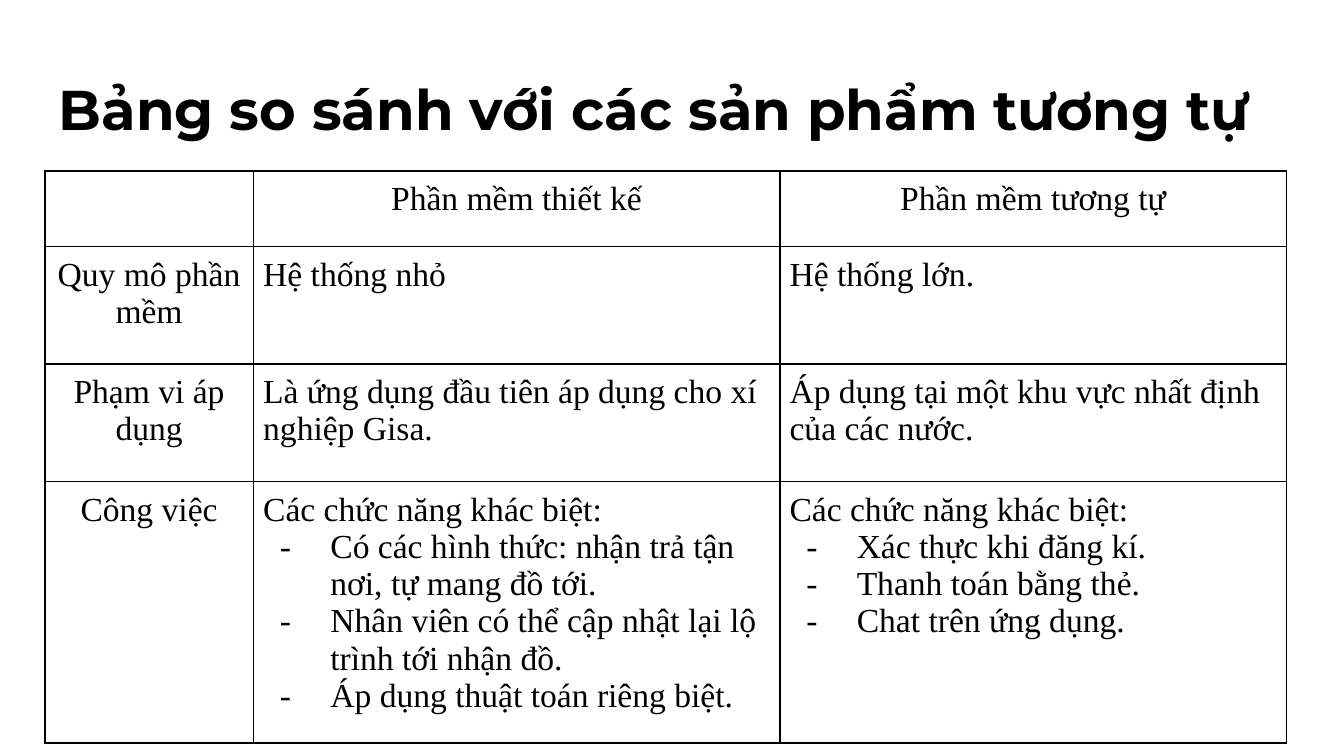
"""Builds a slide that compares the designed software with similar products."""
import pptx
import pptx.dml.color
import pptx.enum.text
import pptx.oxml
import pptx.oxml.ns
import pptx.util

PX = 9525
THEME = {
    "ink": "000000",
    "title_font": "Montserrat",
    "title_size": 30,
    "body_font": "Times New Roman",
    "body_size": 18,
    "border": 1,
}
NS = pptx.oxml.ns.nsdecls("a")
LEFT = pptx.enum.text.PP_ALIGN.LEFT
CENTER = pptx.enum.text.PP_ALIGN.CENTER
INK = f'<a:srgbClr val="{THEME["ink"]}"/>'


def write(frame, text, font=THEME["body_font"], size=THEME["body_size"], bold=False, align=LEFT):
    for index, line in enumerate(text.split("\n")):
        paragraph = frame.paragraphs[0] if index == 0 else frame.add_paragraph()
        paragraph.alignment = align
        run = paragraph.add_run()
        run.text = line.removeprefix("- ")
        run.font.name = font
        run.font.size = pptx.util.Pt(size)
        run.font.bold = bold
        run.font.color.rgb = pptx.dml.color.RGBColor.from_string(THEME["ink"])
        if line.startswith("- "):
            properties = paragraph._p.get_or_add_pPr()
            properties.set("marL", str(48 * PX))
            properties.set("indent", str(-36 * PX))
            for bullet in (
                f"<a:buClr {NS}>{INK}</a:buClr>",
                f'<a:buFont {NS} typeface="{font}"/>',
                f'<a:buChar {NS} char="-"/>',
            ):
                properties.append(pptx.oxml.parse_xml(bullet))


def outline(cell):
    for side in "LRTB":
        cell._tc.get_or_add_tcPr().append(pptx.oxml.parse_xml(
            f'<a:ln{side} {NS} w="{pptx.util.Pt(THEME["border"])}">'
            f"<a:solidFill>{INK}</a:solidFill></a:ln{side}>"
        ))


deck = pptx.Presentation()
deck.slide_width = 960 * PX
deck.slide_height = 540 * PX
slide = deck.slides.add_slide(deck.slide_layouts[6])

title = slide.shapes.add_textbox(32 * PX, 43 * PX, 895 * PX, 67 * PX).text_frame
title.word_wrap = True
title.margin_left = title.margin_right = title.margin_top = title.margin_bottom = 10 * PX
write(title, "Bảng so sánh với các sản phẩm tương tự", font=THEME["title_font"],
      size=THEME["title_size"], bold=True)

criteria = [
    ("", "Phần mềm thiết kế", "Phần mềm tương tự"),
    ("Quy mô phần mềm", "Hệ thống nhỏ", "Hệ thống lớn."),
    ("Phạm vi áp dụng", "Là ứng dụng đầu tiên áp dụng cho xí nghiệp Gisa.",
     "Áp dụng tại một khu vực nhất định của các nước."),
    ("Công việc",
     "Các chức năng khác biệt:\n"
     "- Có các hình thức: nhận trả tận nơi, tự mang đồ tới.\n"
     "- Nhân viên có thể cập nhật lại lộ trình tới nhận đồ.\n"
     "- Áp dụng thuật toán riêng biệt.",
     "Các chức năng khác biệt:\n"
     "- Xác thực khi đăng kí.\n"
     "- Thanh toán bằng thẻ.\n"
     "- Chat trên ứng dụng."),
]
widths = [149, 376, 362]
heights = [54, 84, 84, 178]

holder = slide.shapes.add_table(
    len(heights), len(widths), 32 * PX, 122 * PX, sum(widths) * PX, sum(heights) * PX
)
comparison = holder.table
comparison.first_row = comparison.horz_banding = False
for column, width in zip(comparison.columns, widths):
    column.width = width * PX
for row, height in zip(comparison.rows, heights):
    row.height = height * PX
holder.width = holder.height = 315 * PX

for r, entries in enumerate(criteria):
    for c, entry in enumerate(entries):
        cell = comparison.cell(r, c)
        outline(cell)
        cell.fill.background()
        cell.margin_left = cell.margin_right = cell.margin_top = cell.margin_bottom = 7 * PX
        if entry:
            write(cell.text_frame, entry, align=CENTER if r == 0 or c == 0 else LEFT)

deck.save("out.pptx")
